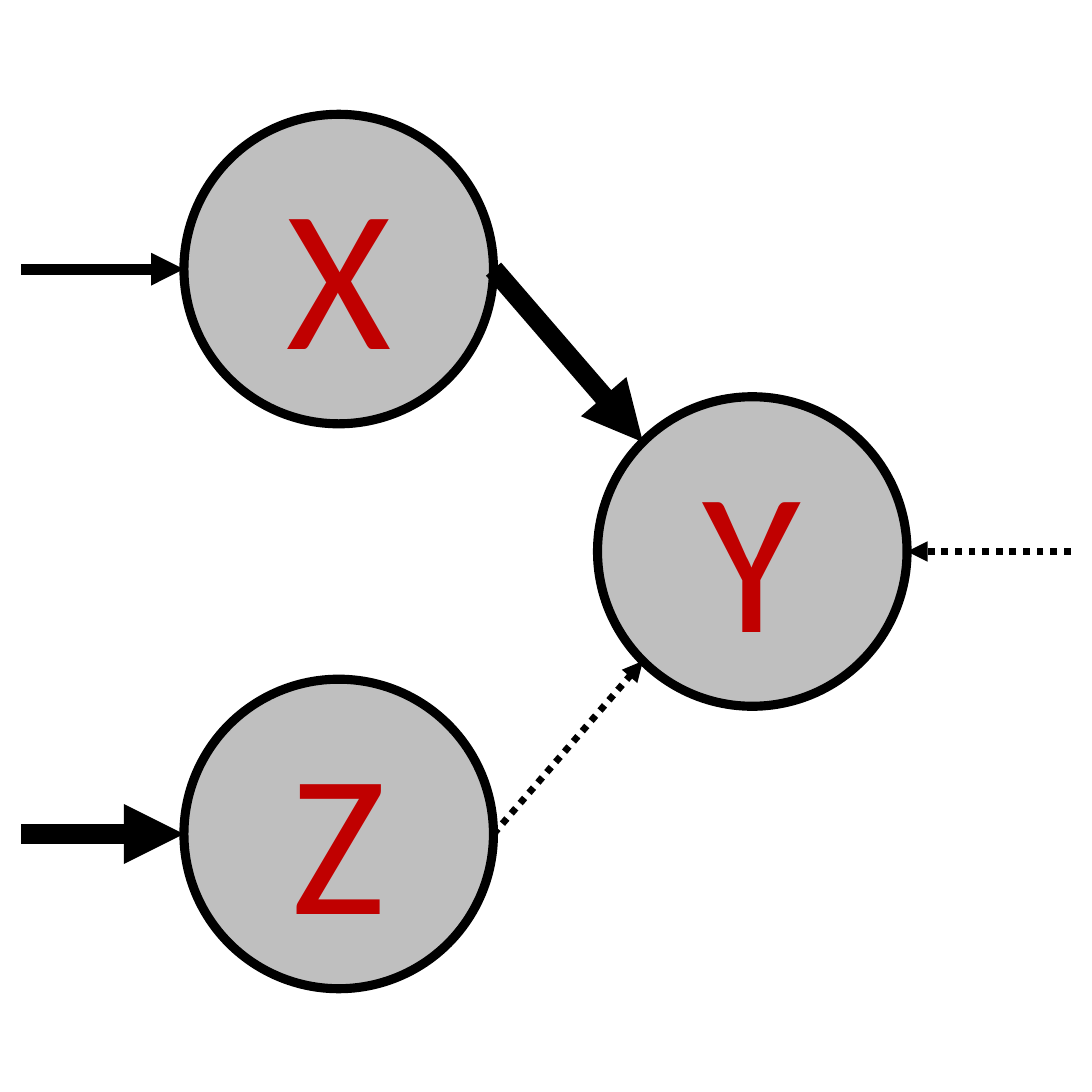
from math import sqrt
from pptx import Presentation
from pptx.dml.color import RGBColor
from pptx.enum.dml import MSO_LINE as Dash
from pptx.enum.shapes import MSO_CONNECTOR as Link, MSO_SHAPE as Form
from pptx.enum.text import MSO_ANCHOR as Anchor, PP_ALIGN as Align
from pptx.oxml.ns import qn
from pptx.util import Cm, Pt
from lxml.etree import SubElement

BLACK = RGBColor(0x00, 0x00, 0x00)
GREY = RGBColor(0xBF, 0xBF, 0xBF)
RED = RGBColor(0xC0, 0x00, 0x00)

deck = Presentation()
deck.slide_width = deck.slide_height = Cm(12.7)
slide = deck.slides.add_slide(deck.slide_layouts[6])
shapes = slide.shapes


def write(shape, text, size=66.7, color=RED, font="Calibri"):
    frame = shape.text_frame
    frame.vertical_anchor = Anchor.MIDDLE
    frame.margin_left = frame.margin_right = Cm(0.2)
    frame.margin_top = frame.margin_bottom = Cm(0.1)
    para = frame.paragraphs[0]
    para.alignment = Align.CENTER
    run = para.add_run()
    run.text = text
    run.font.name = font
    run.font.size = Pt(size)
    run.font.color.rgb = color


radius = 1.8
left, right = 3.94, 8.75
top, low = 3.13, 9.7
mid = (top + low) / 2

for name, x, y in [("X", left, top), ("Z", left, low), ("Y", right, mid)]:
    node = shapes.add_shape(Form.OVAL, Cm(x - radius), Cm(y - radius),
                            Cm(2 * radius), Cm(2 * radius))
    node.shadow.inherit = False
    node.fill.solid()
    node.fill.fore_color.rgb = GREY
    node.line.color.rgb = BLACK
    node.line.width = Pt(3)
    write(node, name)

edge = 0.25
slant = radius / sqrt(2)
arrows = [
    (edge, top, left - radius, top, 3.6, None),
    (edge, low, left - radius, low, 6.6, None),
    (left + radius, top, right - slant, mid - slant, 6.6, None),
    (left + radius, low, right - slant, mid + slant, 2.25, Dash.ROUND_DOT),
    (12.7 - edge, mid, right + radius, mid, 2.25, Dash.ROUND_DOT),
]
for x1, y1, x2, y2, width, dash in arrows:
    arrow = shapes.add_connector(Link.STRAIGHT, Cm(x1), Cm(y1), Cm(x2), Cm(y2))
    arrow.line.color.rgb = BLACK
    arrow.line.width = Pt(width)
    if dash:
        arrow.line.dash_style = dash
    props = arrow.element.spPr
    SubElement(props.find(qn("a:ln")), qn("a:tailEnd"), type="triangle")
    SubElement(props, qn("a:effectLst"))

deck.save("out.pptx")
